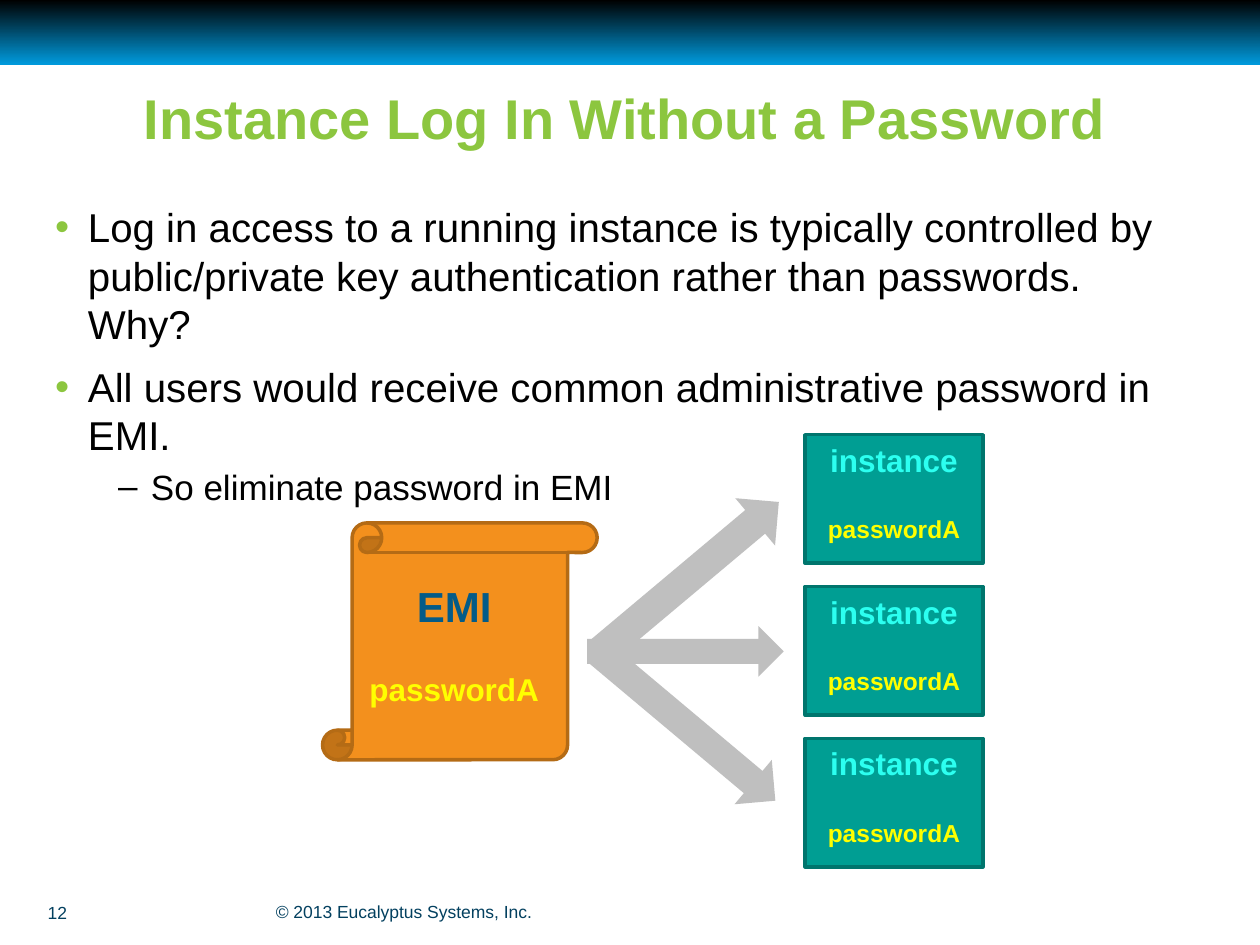
from lxml.etree import SubElement
from pptx import Presentation
from pptx.dml.color import RGBColor
from pptx.enum.shapes import MSO_SHAPE
from pptx.enum.text import MSO_ANCHOR, PP_ALIGN
from pptx.oxml.ns import qn
from pptx.util import Inches, Pt

W, H = 10, 7.5
FONT = "Arial"
COLORS = {
    "black": "000000", "sky": "0099DB", "navy": "03405F", "green": "8CC63F",
    "orange": "F3901D", "brown": "B46B15", "blue": "045B87", "yellow": "FFFF00",
    "teal": "009E93", "dark_teal": "00756D", "aqua": "2CFFF0", "gray": "BFBFBF",
}

TITLE = "Instance Log In Without a Password"
BULLETS = [
    (0, "Log in access to a running instance is typically controlled by "
        "public/private key authentication rather than passwords. Why?"),
    (0, "All users would receive common administrative password in EMI."),
    (1, "So eliminate password in EMI"),
]
LEVELS = [
    {"mark": "•", "color": "green", "size": 23, "before": 8.3, "left": 0.26},
    {"mark": "–", "color": "black", "size": 20, "before": 4, "left": 0.76},
]
HANGING = 0.26
SECRET = "passwordA"
INSTANCES = [("instance", SECRET)] * 3
BOX_X, BOX_Y, BOX_W, BOX_H, BOX_STEP = 6.39, 3.45, 1.41, 1.02, 1.205
ARROWS = [
    (4.66, 4.97, 1.56, 0.40, 0),
    (4.52, 5.53, 1.85, 0.46, 40),
    (4.53, 4.34, 1.87, 0.49, 320),
]


def rgb(name):
    return RGBColor.from_string(COLORS[name])


def add_run(p, text, size, color, bold=False):
    r = p.add_run()
    r.text = text
    r.font.name = FONT
    r.font.size = Pt(size)
    r.font.bold = bold
    r.font.color.rgb = rgb(color)


def add_box(s, x, y, w, h, anchor=MSO_ANCHOR.TOP):
    tf = s.shapes.add_textbox(Inches(x), Inches(y), Inches(w), Inches(h)).text_frame
    tf.word_wrap = True
    tf.vertical_anchor = anchor
    return tf


def add_label(s, x, y, w, h, text, size, color, bold=True,
              align=PP_ALIGN.CENTER, anchor=MSO_ANCHOR.TOP):
    p = add_box(s, x, y, w, h, anchor).paragraphs[0]
    p.alignment = align
    add_run(p, text, size, color, bold)
    return p


def add_block(s, kind, x, y, w, h, fill=None, line=None):
    sp = s.shapes.add_shape(kind, Inches(x), Inches(y), Inches(w), Inches(h))
    sp.shadow.inherit = False
    if fill:
        sp.fill.solid()
        sp.fill.fore_color.rgb = rgb(fill)
    if line:
        sp.line.color.rgb = rgb(line)
        sp.line.width = Pt(2)
    else:
        sp.line.fill.background()
    return sp


def add_bullets(s):
    tf = add_box(s, 0.34, 1.56, 9.2, 5.29)
    for i, (level, text) in enumerate(BULLETS):
        style = LEVELS[level]
        p = tf.add_paragraph() if i else tf.paragraphs[0]
        p.level = level
        p.space_before = Pt(style["before"] if i else 0)
        pPr = p._p.get_or_add_pPr()
        pPr.set("marL", str(Inches(style["left"])))
        pPr.set("indent", str(-Inches(HANGING)))
        color = SubElement(pPr, qn("a:buClr"))
        SubElement(color, qn("a:srgbClr"), val=COLORS[style["color"]])
        SubElement(pPr, qn("a:buFont"), typeface=FONT)
        SubElement(pPr, qn("a:buChar"), char=style["mark"])
        add_run(p, text, style["size"], "black")


def add_banner(s):
    sp = add_block(s, MSO_SHAPE.RECTANGLE, 0, 0, W, 0.51)
    sp.fill.gradient()
    sp.fill.gradient_angle = 270
    for stop, color in zip(sp.fill.gradient_stops, ("black", "sky")):
        stop.color.rgb = rgb(color)


def add_footer(s):
    for x, y, w, h, text in [
        (2.09, 7.1, 2.91, 0.27, "© 2013 Eucalyptus Systems, Inc."),
        (0.28, 7.07, 0.5, 0.34, "12"),
    ]:
        add_label(s, x, y, w, h, text, 10, "navy", False,
                  PP_ALIGN.LEFT, MSO_ANCHOR.MIDDLE)


def add_diagram(s):
    add_block(s, MSO_SHAPE.VERTICAL_SCROLL, 2.56, 4.15, 2.18, 1.88, "orange", "brown")
    add_label(s, 2.56, 4.56, 2.09, 0.5, "EMI", 24, "blue")
    add_label(s, 2.8, 5.27, 1.61, 0.4, SECRET, 18, "yellow")
    for i, (name, secret) in enumerate(INSTANCES):
        y = BOX_Y + i * BOX_STEP
        add_block(s, MSO_SHAPE.RECTANGLE, BOX_X, y, BOX_W, BOX_H, "teal", "dark_teal")
        add_label(s, BOX_X - 0.04, y + 0.58, BOX_W + 0.08, 0.34, secret, 14, "yellow")
        add_label(s, BOX_X, y, BOX_W, 0.4, name, 18, "aqua")
    for x, y, w, h, angle in ARROWS:
        add_block(s, MSO_SHAPE.RIGHT_ARROW, x, y, w, h, "gray").rotation = angle


def main():
    prs = Presentation()
    prs.slide_width, prs.slide_height = Inches(W), Inches(H)
    s = prs.slides.add_slide(prs.slide_layouts[6])
    add_banner(s)
    add_label(s, 0, 0.66, 9.92, 1.2, TITLE, 32, "green").line_spacing = 0.93
    add_bullets(s)
    add_footer(s)
    add_diagram(s)
    prs.save("out.pptx")


if __name__ == "__main__":
    main()
